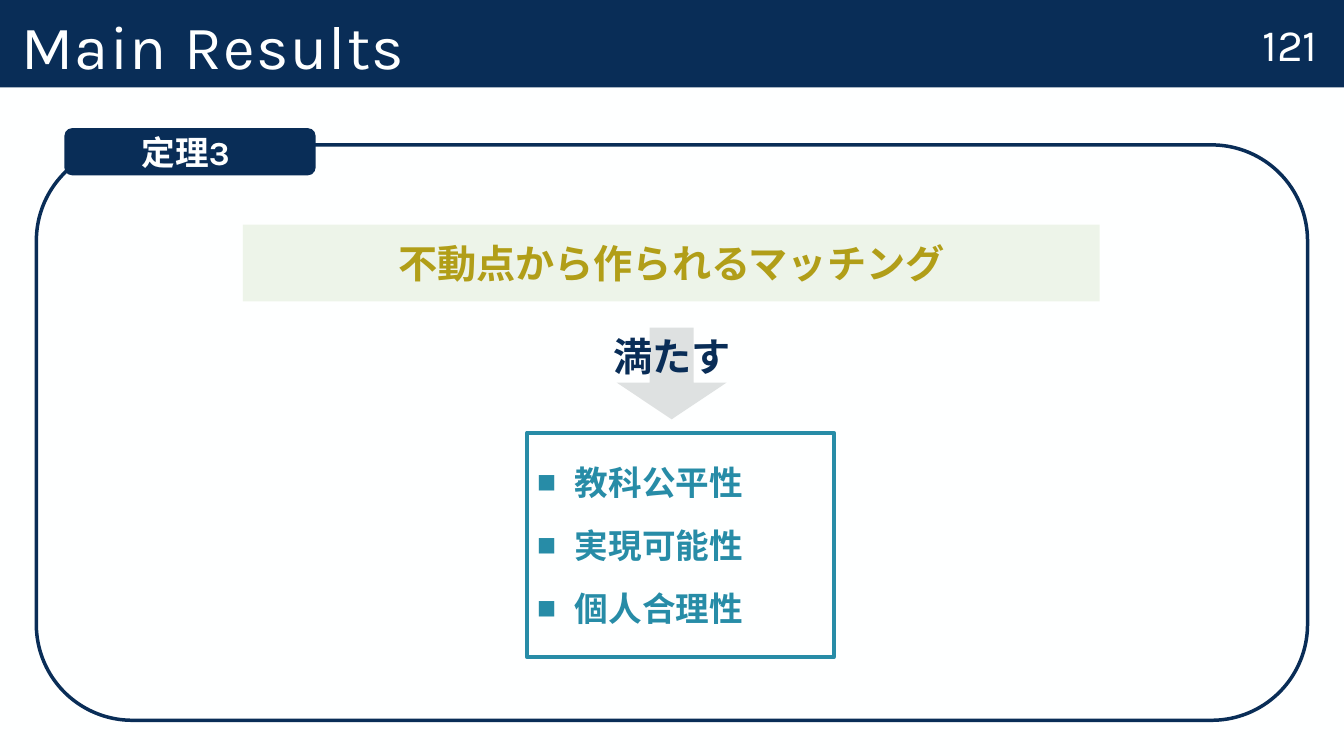
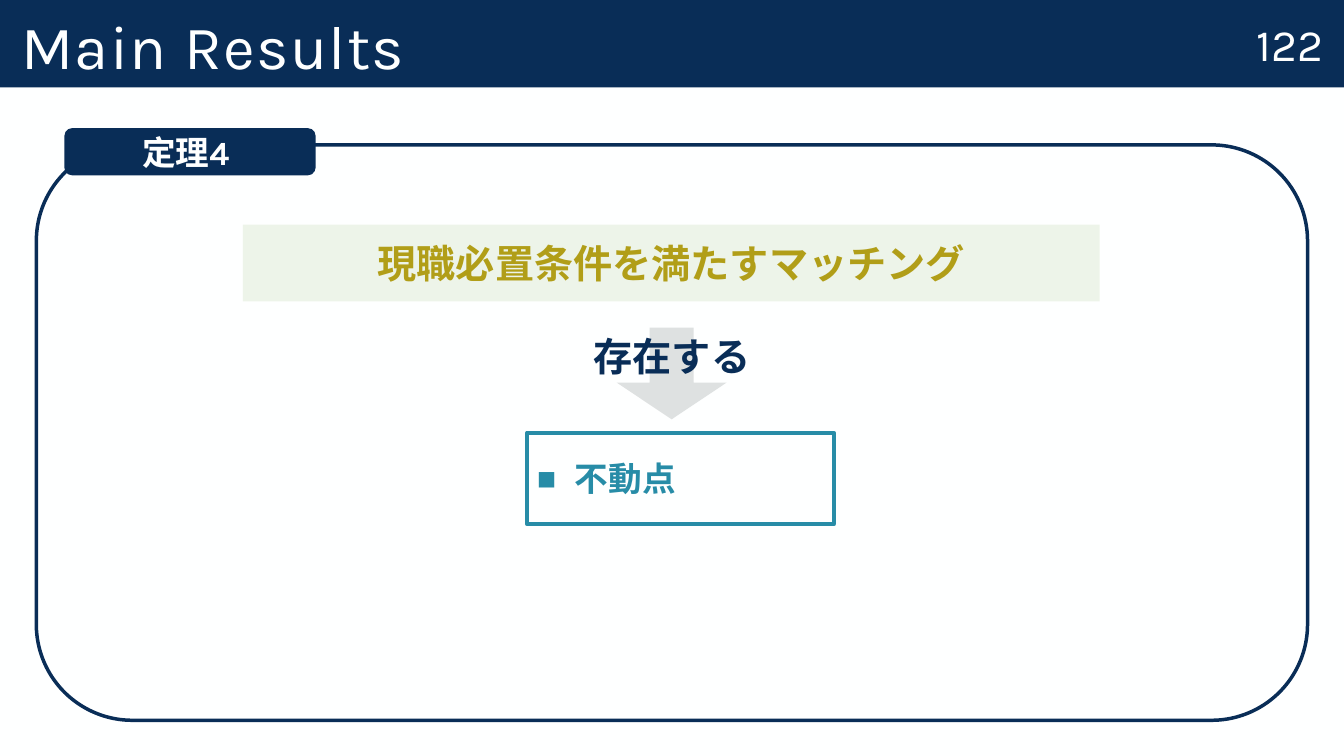
from pptx import Presentation
from pptx.dml.color import RGBColor as Rgb
from pptx.enum.shapes import MSO_SHAPE as Form
from pptx.enum.text import MSO_ANCHOR as Anchor, MSO_AUTO_SIZE as Fit, PP_ALIGN as Align
from pptx.oxml.ns import qn
from pptx.util import Pt
from lxml.etree import SubElement as Sub

HUES = {"navy": "092D57", "white": "FEFFFF", "gold": "B19E18", "green": "689E38",
        "teal": "278CA7", "gray": "DEE1E1"}
FONT = "Karla"
SLIDES = [
    {"page": "121", "tab": "定理3 ", "claim": "不動点から作られるマッチング", "verb": "満たす",
     "list": ["教科公平性", "実現可能性", "個人合理性"], "high": 160.5},
    {"page": "122", "tab": "定理4 ", "claim": "現職必置条件を満たすマッチング", "verb": "存在する",
     "list": ["不動点"], "high": 65.5},
]


def style(shape, box, fill=None, line=None, width=2.5):
    for name, val in zip(("left", "top", "width", "height"), box):
        setattr(shape, name, Pt(val))
    if fill:
        shape.fill.solid()
        shape.fill.fore_color.rgb = Rgb.from_string(HUES[fill])
    else:
        shape.fill.background()
    if line:
        shape.line.color.rgb = Rgb.from_string(HUES[line])
        shape.line.width = Pt(width)
    else:
        shape.line.fill.background()


def write(shape, lines, size, hue, bold=True, anchor=Anchor.MIDDLE, fit=Fit.NONE, **form):
    frame = shape.text_frame
    frame.text = "\n".join(lines)
    for name, val in {"word_wrap": True, "auto_size": fit, "vertical_anchor": anchor}.items():
        setattr(frame, name, val)
    for para in frame.paragraphs:
        for name, val in ({"alignment": Align.CENTER, "space_before": Pt(0)} | form).items():
            setattr(para, name, val)
        for run in para.runs:
            for name, val in {"name": FONT, "size": Pt(size), "bold": bold}.items():
                setattr(run.font, name, val)
            run.font.color.rgb = Rgb.from_string(HUES[hue])
            Sub(run.font._element, qn("a:ea"), typeface=FONT)


deck = Presentation()
deck.slide_width, deck.slide_height = Pt(960), Pt(540)
back = deck.slide_master.background.fill
back.solid()
back.fore_color.rgb = Rgb.from_string(HUES["white"])

for item in SLIDES:
    slide = deck.slides.add_slide(deck.slide_layouts[1])
    title, goals = slide.placeholders
    shapes = slide.shapes

    style(title, (0, 0, 960, 62.5), "navy")
    write(title, ["Main Results"], 44, "white", False, Anchor.BOTTOM,
          alignment=Align.LEFT, line_spacing=0.9)
    head = title.text_frame.paragraphs[0]
    head._p.get_or_add_pPr().set("indent", str(Pt(8)))
    head.runs[0].font._element.set("spc", "100")

    page = shapes.add_textbox(0, 0, 0, 0)
    style(page, (884, 0, 75, 62))
    write(page, [item["page"]], 32, "white", False)

    parts = {}
    for name, form, box, fill, line in [
        ("claim", Form.RECTANGLE, (173.5, 160.5, 612, 54.75), "green", None),
        ("frame", Form.ROUNDED_RECTANGLE, (26, 103.5, 908, 411), None, "navy"),
        ("tab", Form.ROUNDED_RECTANGLE, (46, 91.5, 179.5, 33.75), "navy", None),
        ("arrow", Form.RIGHT_ARROW, (447, 227.5, 65.5, 78.5), "gray", None),
    ]:
        part = parts[name] = shapes.add_shape(form, 0, 0, 0, 0)
        part.shadow.inherit = False
        style(part, box, fill, line)

    tint = parts["claim"].fill._xPr.find(qn("a:solidFill"))[0]
    Sub(tint, qn("a:alpha"), val="11000")
    write(parts["claim"], [item["claim"]], 28, "gold", space_before=Pt(6))
    write(parts["tab"], [item["tab"]], 24, "white")
    parts["arrow"].rotation = 90
    parts["arrow"].adjustments[0] = 0.4
    parts["arrow"].adjustments[1] = 0.4

    style(goals, (376.5, 309, 219, item["high"]), None, "teal", 2.75)
    write(goals, item["list"], 24, "teal", alignment=Align.LEFT, space_before=Pt(16))
    for para in goals.text_frame.paragraphs:
        props = para._p.get_or_add_pPr()
        for name, val in {"marL": 27, "indent": -27}.items():
            props.set(name, str(Pt(val)))
        Sub(props, qn("a:buSzPct"), val="60000")
        Sub(props, qn("a:buFont"), typeface=FONT)
        Sub(props, qn("a:buChar"), char="■")

    verb = shapes.add_textbox(0, 0, 0, 0)
    style(verb, (364.5, 234, 231, 41))
    write(verb, [item["verb"]], 28, "navy", anchor=Anchor.TOP, fit=Fit.SHAPE_TO_FIT_TEXT)

deck.save("out.pptx")
